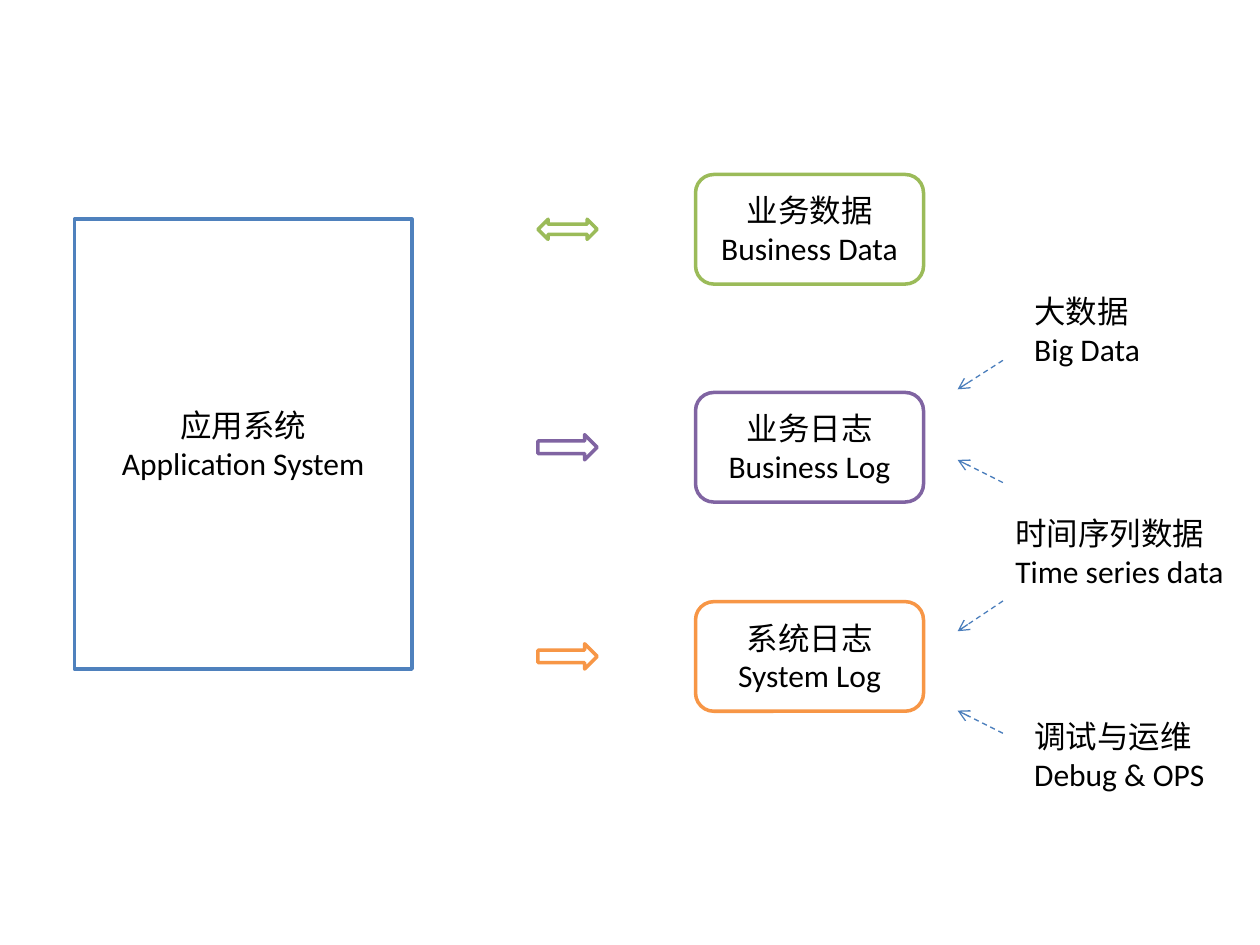
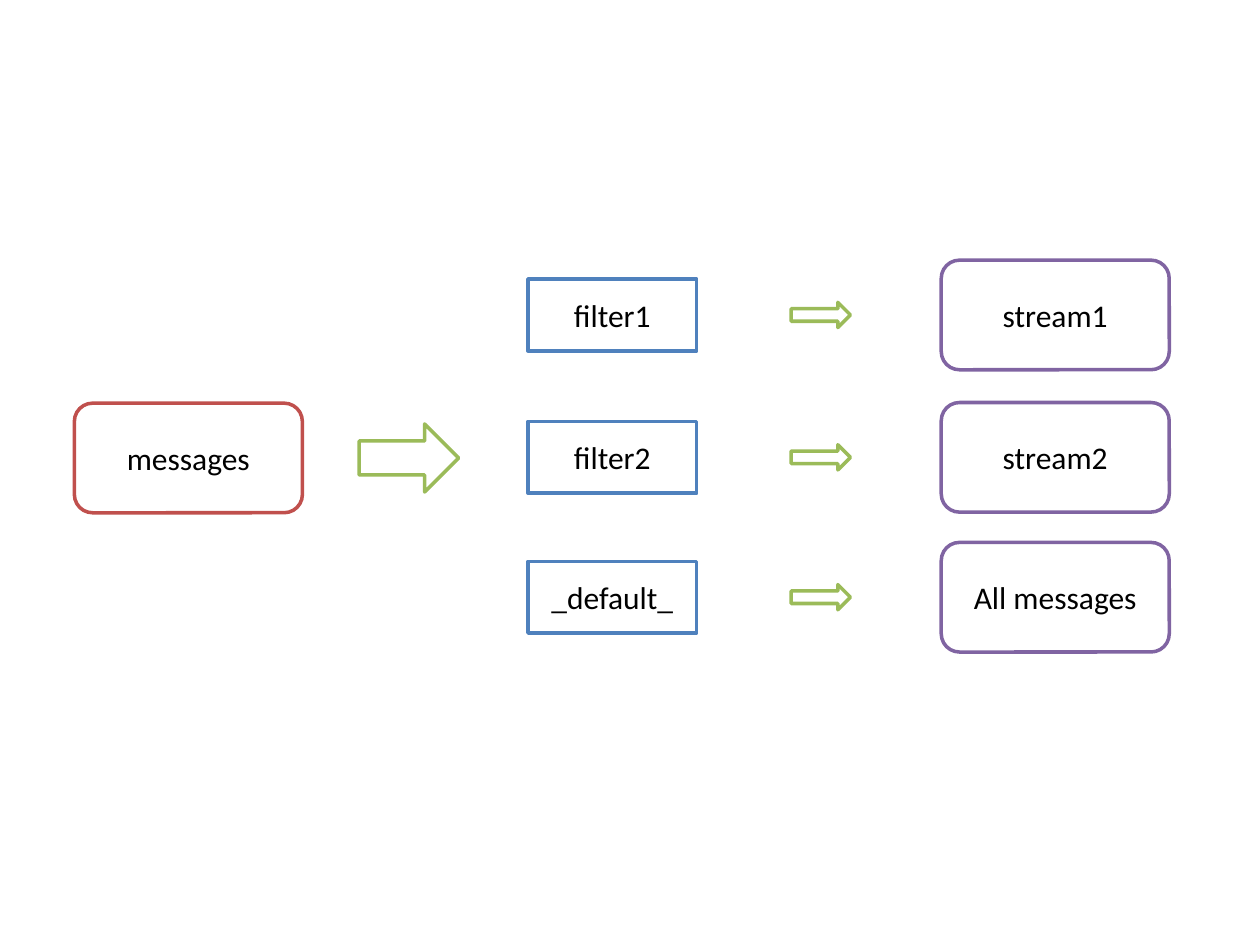
from pptx import Presentation
from pptx import util as u
from pptx.dml.color import RGBColor
from pptx.enum import dml, shapes, text
from pptx.oxml.ns import qn
from lxml import etree

FONT = "Calibri"
BLACK, WHITE = "000000", "FFFFFF"
BLUE, RED, GREEN = "4F81BD", "C0504D", "9BBB59"
PURPLE, ORANGE, POINTER = "8064A2", "F79646", "4B7EBC"
RECT = shapes.MSO_SHAPE.RECTANGLE
ROUNDED = shapes.MSO_SHAPE.ROUNDED_RECTANGLE
RIGHT = shapes.MSO_SHAPE.RIGHT_ARROW
BOTH_WAYS = shapes.MSO_SHAPE.LEFT_RIGHT_ARROW
STORE_SIZE = (1.81, 0.87)
FILTER_SIZE = (1.34, 0.57)
ARROW_SIZE = (0.47, 0.2)


def colour(value):
    return RGBColor.from_string(value)


def inches(*lengths):
    return [u.Inches(length) for length in lengths]


def write(frame, content, size=18, color=BLACK, align=text.PP_ALIGN.CENTER,
          anchor=text.MSO_ANCHOR.MIDDLE, wrap=True):
    frame.word_wrap = wrap
    frame.vertical_anchor = anchor
    for index, line in enumerate(content.split("\n")):
        paragraph = frame.add_paragraph() if index else frame.paragraphs[0]
        paragraph.alignment = align
        run = paragraph.add_run()
        run.text = line
        run.font.name = FONT
        run.font.size = u.Pt(size)
        run.font.color.rgb = colour(color)


def outlined(slide, kind, box, color, label=None):
    node = slide.shapes.add_shape(kind, *inches(*box))
    node.shadow.inherit = False
    node.fill.solid()
    node.fill.fore_color.rgb = colour(WHITE)
    node.line.color.rgb = colour(color)
    node.line.width = u.Pt(2)
    if label:
        write(node.text_frame, label)


def centred(left, middle, size):
    width, height = size
    return left, middle - height / 2, width, height


def note(slide, box, label):
    caption = slide.shapes.add_textbox(*inches(*box)).text_frame
    write(caption, label, align=text.PP_ALIGN.LEFT,
          anchor=text.MSO_ANCHOR.TOP, wrap=False)
    caption.auto_size = text.MSO_AUTO_SIZE.SHAPE_TO_FIT_TEXT


def pointer(slide, start, end):
    link = slide.shapes.add_connector(
        shapes.MSO_CONNECTOR.STRAIGHT, *inches(*start, *end))
    link.line.color.rgb = colour(POINTER)
    link.line.width = u.Pt(0.75)
    link.line.dash_style = dml.MSO_LINE.DASH
    etree.SubElement(link.line._ln, qn("a:tailEnd"), type="arrow")
    etree.SubElement(link._element.spPr, qn("a:effectLst"))


def data_stores(slide, box):
    left, top, width, _ = box
    stores = [
        (0.43, "业务数据\nBusiness Data", GREEN, BOTH_WAYS, (0.47, 0.16)),
        (2.16, "业务日志\nBusiness Log", PURPLE, RIGHT, ARROW_SIZE),
        (3.82, "系统日志\nSystem Log", ORANGE, RIGHT, ARROW_SIZE),
    ]
    for offset, label, color, arrow, arrow_size in stores:
        middle = top + offset
        outlined(slide, arrow, centred(left, middle, arrow_size), color)
        outlined(slide, ROUNDED,
                 centred(left + width - STORE_SIZE[0], middle, STORE_SIZE),
                 color, label)


def data_uses(slide, box):
    left, top, _, _ = box
    notes = [
        (0.51, 0, 1.05, "大数据\nBig Data"),
        (0.36, 1.76, 1.87, "时间序列数据\nTime series data"),
        (0.51, 3.37, 1.57, "调试与运维\nDebug & OPS"),
    ]
    for indent, offset, width, label in notes:
        note(slide, (left + indent, top + offset, width, 0.71), label)
    for start, end in [(0.59, 0.82), (1.56, 1.38), (2.5, 2.74), (3.55, 3.37)]:
        pointer(slide, (left + 0.36, top + start), (left, top + end))


def filter_routes(slide, box):
    left, top, width, _ = box
    routes = [(0.44, "filter1", "stream1"), (1.57, "filter2", "stream2"),
              (2.68, "_default_", "All messages")]
    for offset, rule, stream in routes:
        middle = top + offset
        outlined(slide, RECT, centred(left, middle, FILTER_SIZE), BLUE, rule)
        outlined(slide, RIGHT, centred(left + 2.09, middle, ARROW_SIZE), GREEN)
        outlined(slide, ROUNDED,
                 centred(left + width - STORE_SIZE[0], middle, STORE_SIZE),
                 PURPLE, stream)


def message_source(slide, box):
    left, top, width, height = box
    middle = top + height / 2
    outlined(slide, ROUNDED, centred(left, middle, STORE_SIZE), RED, "messages")
    outlined(slide, RIGHT,
             centred(left + width - 0.79, middle, (0.79, 0.54)), GREEN)


deck = Presentation()
deck.slide_width, deck.slide_height = inches(10, 7.5)
blank = deck.slide_layouts[6]

data_kinds = deck.slides.add_slide(blank)
outlined(data_kinds, RECT, (0.59, 1.74, 2.68, 3.57), BLUE,
         "应用系统\nApplication System")
data_stores(data_kinds, (4.27, 1.39, 3.06, 4.25))
data_uses(data_kinds, (7.6, 2.27, 2.23, 4.08))

routing = deck.slides.add_slide(blank)
message_source(routing, (0.59, 3.2, 3.05, 0.87))
filter_routes(routing, (4.19, 2.06, 5.09, 3.11))

deck.save("out.pptx")
